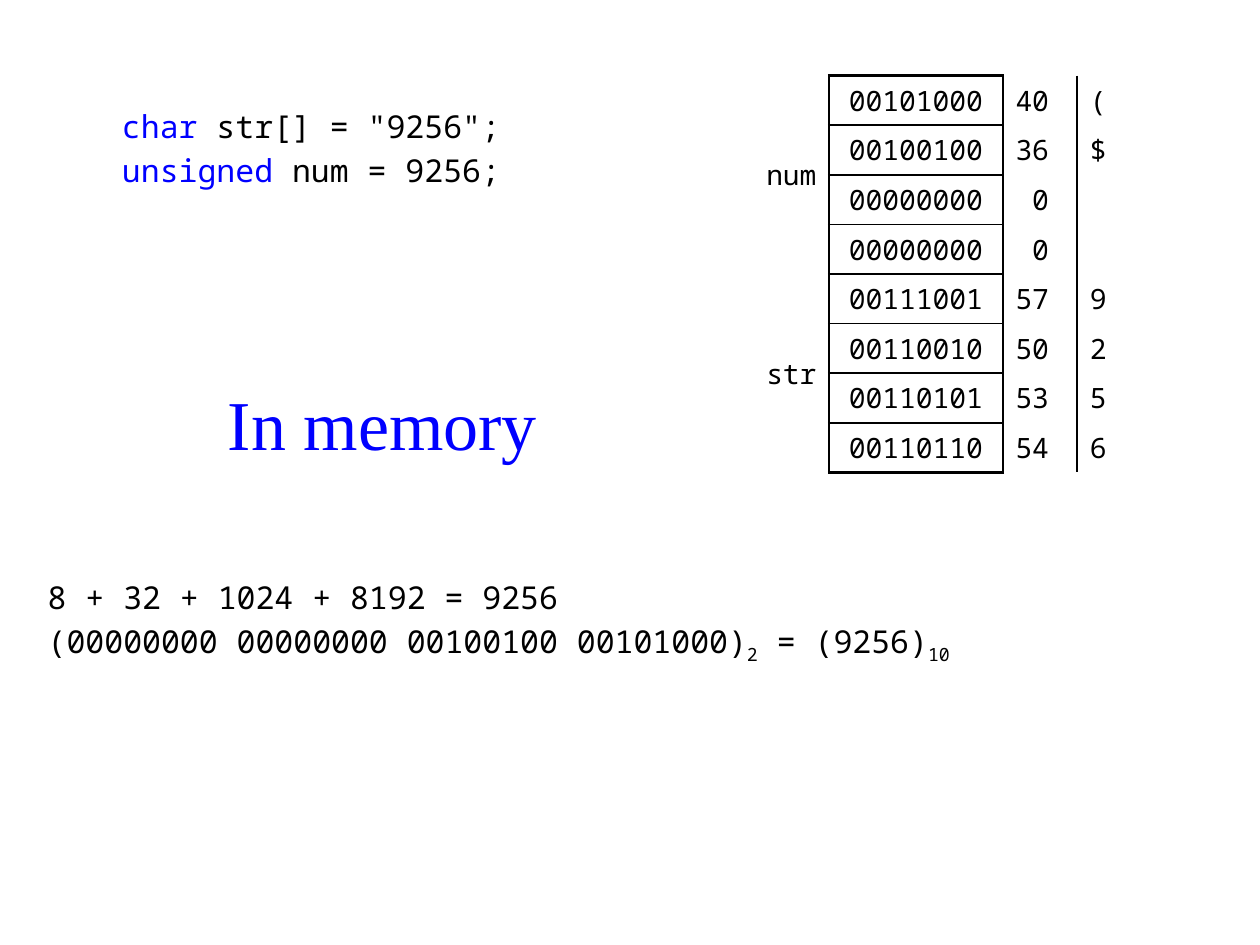
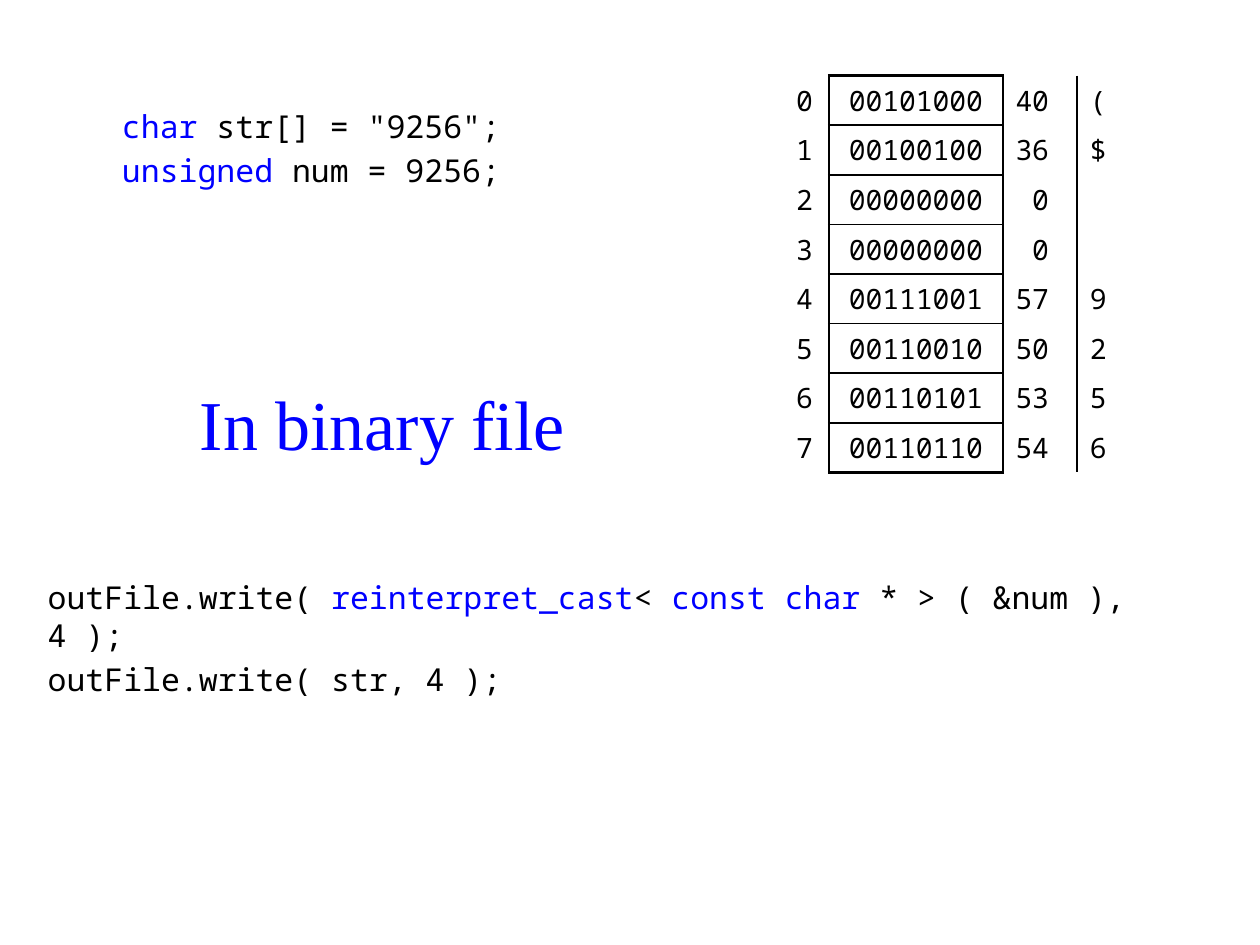
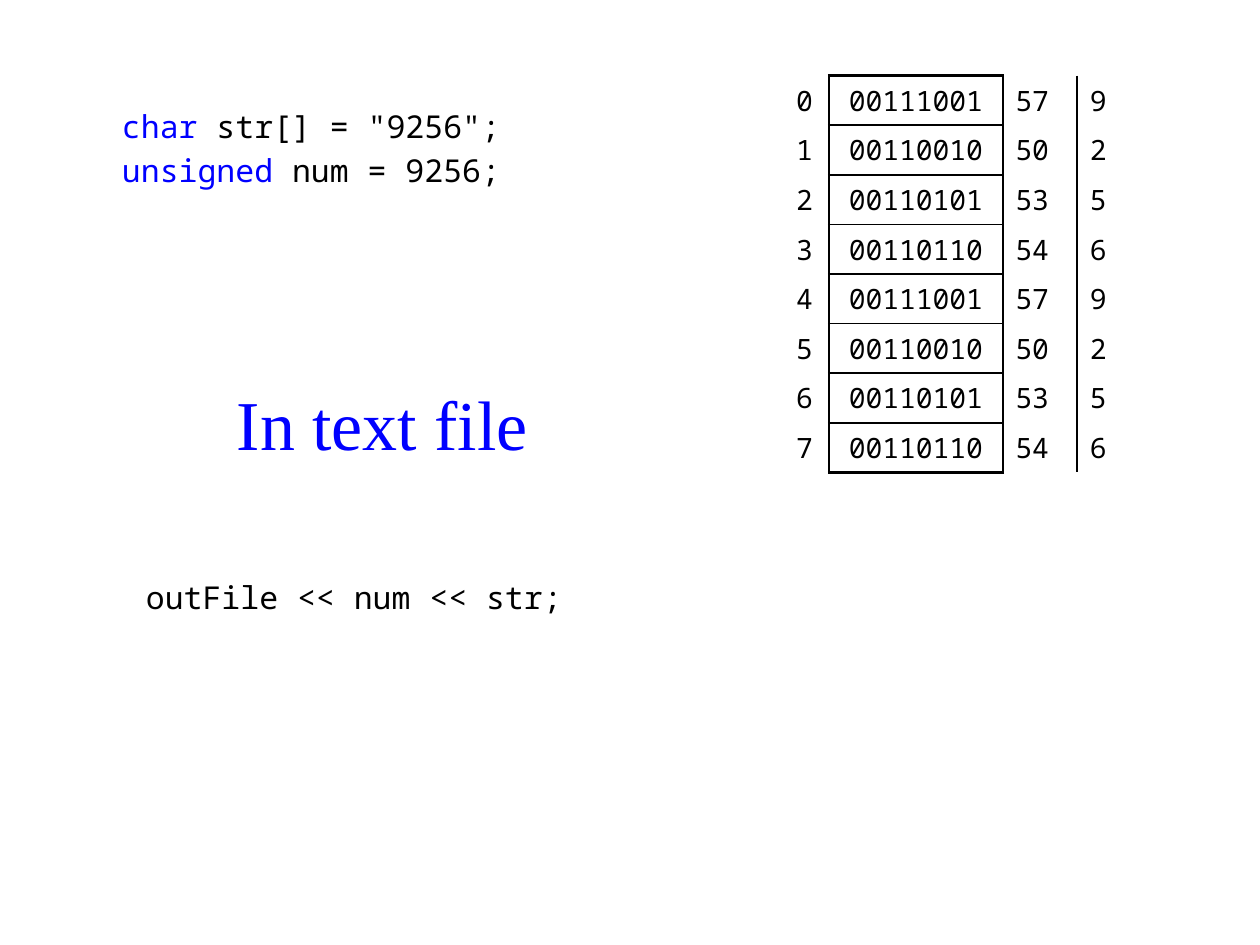
from dataclasses import dataclass

from pptx import Presentation
from pptx.dml.color import RGBColor
from pptx.enum.text import MSO_ANCHOR as Anchor, PP_ALIGN as Align
from pptx.oxml.ns import qn
from pptx.util import Inches, Pt
from lxml.etree import SubElement


@dataclass(frozen=True)
class Theme:
    ink: str = "000000"
    blue: str = "0000FF"
    mono: str = "Noto Sans Mono"
    serif: str = "Times New Roman"
    title: int = 40
    code: int = 18
    cell: int = 16
    gap: float = 3.6
    outer: float = 1.5
    inner: float = 1


T = Theme()

# Content: a run is (text, style); styles are plain, keyword and subscript
PLAIN, KEY, SUB = "plain", "keyword", "subscript"
DECLARATIONS = [
    [("char ", KEY), ('str[] = "9256";', PLAIN)],
    [("unsigned ", KEY), ("num = 9256;", PLAIN)],
]
NUM_BYTES = [40, 36, 0, 0]
STR_BYTES = [57, 50, 53, 54]
OFFSETS = [(str(i), 1) for i in range(8)]

SLIDES = [
    dict(
        title="In memory",
        bytes=NUM_BYTES + STR_BYTES,
        labels=[("num", 4), ("str", 4)], label_width=0.79, label_align=Align.RIGHT,
        code_at=(0.28, 4.54, 7.48, 0.79),
        code=[
            [("8 + 32 + 1024 + 8192 = 9256", PLAIN)],
            [("(00000000 00000000 00100100 00101000)", PLAIN), ("2", SUB),
             (" = (9256)", PLAIN), ("10", SUB)],
        ],
    ),
    dict(
        title="In binary file",
        bytes=NUM_BYTES + STR_BYTES,
        labels=OFFSETS, label_width=0.39, label_align=Align.CENTER,
        code_at=(0.28, 4.54, 9.45, 0.79),
        code=[
            [("outFile.write( ", PLAIN), ("reinterpret_cast", KEY), ("< ", PLAIN),
             ("const char", KEY), (" * > ( &num ), 4 );", PLAIN)],
            [("outFile.write( str, 4 );", PLAIN)],
        ],
    ),
    dict(
        title="In text file",
        bytes=STR_BYTES * 2,
        labels=OFFSETS, label_width=0.39, label_align=Align.CENTER,
        code_at=(1.06, 4.54, 3.54, 0.39),
        code=[[("outFile << num << str;", PLAIN)]],
    ),
]

# Shared places, in inches
TITLE_AT = (1.46, 2.96, 3.15, 0.79)
DECLARATIONS_AT = (0.87, 0.8, 3.54, 0.79)
TABLE_TOP, TABLE_RIGHT, TABLE_HEIGHT = 0.6, 8.94, 3.15
BYTE_WIDTHS = [1.38, 0.59, 0.39]  # bits, value, character
NO_GRID = "{2D5ABB26-0587-4C30-8999-92F81FD0307C}"


def add_run(p, text, size, font=T.mono, color=T.ink):
    r = p.add_run()
    r.text = text
    r.font.size = Pt(size)
    r.font.name = font
    r.font.color.rgb = RGBColor.from_string(color)
    return r


def add_box(slide, at, anchor=Anchor.TOP):
    tf = slide.shapes.add_textbox(*map(Inches, at)).text_frame
    tf.word_wrap = True
    tf.vertical_anchor = anchor
    return tf


def add_title(slide, text):
    p = add_box(slide, TITLE_AT, Anchor.MIDDLE).paragraphs[0]
    p.alignment = Align.CENTER
    add_run(p, text, T.title, T.serif, T.blue)


def add_code(slide, at, lines):
    tf = add_box(slide, at)
    for i, line in enumerate(lines):
        p = tf.add_paragraph() if i else tf.paragraphs[0]
        if i:
            p.space_before = Pt(T.gap)
        for text, style in line:
            r = add_run(p, text, T.code, color=T.blue if style == KEY else T.ink)
            if style == SUB:
                r.font._element.set("baseline", "-25000")


def set_borders(cell, **widths):
    tc_pr = cell._tc.get_or_add_tcPr()
    for side in "LRTB":
        if side in widths:
            ln = SubElement(tc_pr, qn(f"a:ln{side}"), w=str(Pt(widths[side])))
            fill = SubElement(ln, qn("a:solidFill"))
            SubElement(fill, qn("a:srgbClr"), val=T.ink)


def fill_cell(cell, text, align):
    p = cell.text_frame.paragraphs[0]
    p.alignment = align
    p.font.size = Pt(T.cell)
    if text:
        add_run(p, text, T.cell)


def add_byte_table(slide, values, labels, label_width, label_align):
    widths = [label_width] + BYTE_WIDTHS
    count = len(values)
    frame = slide.shapes.add_table(
        count, len(widths), Inches(TABLE_RIGHT - sum(widths)), Inches(TABLE_TOP),
        Inches(sum(widths)), Inches(TABLE_HEIGHT))
    table = frame.table
    table.first_row = table.horz_banding = False
    table._tbl.tblPr.find(qn("a:tableStyleId")).text = NO_GRID
    for column, width in zip(table.columns, widths):
        column.width = Inches(width)

    # One byte per row, boxed in the bits column
    for i, value in enumerate(values):
        cells = [table.cell(i, j) for j in range(len(widths))]
        label, bits, number, char = cells
        set_borders(label, R=T.outer)
        set_borders(bits, L=T.outer, R=T.outer,
                    T=T.inner if i else T.outer,
                    B=T.inner if i < count - 1 else T.outer)
        set_borders(number, L=T.outer)
        for cell in cells:
            cell.fill.background()
            cell.vertical_anchor = Anchor.MIDDLE
            cell.margin_left = cell.margin_right = Inches(0.1)
            cell.margin_top = cell.margin_bottom = Inches(0.04)
        fill_cell(bits, f"{value:08b}", Align.CENTER)
        fill_cell(number, f"{value:2}", Align.LEFT)
        fill_cell(char, chr(value) if value else "", Align.LEFT)

    # Labels, each spanning its bytes
    row = 0
    for text, span in labels:
        cell = table.cell(row, 0)
        if span > 1:
            cell.merge(table.cell(row + span - 1, 0))
        fill_cell(cell, text, label_align)
        row += span


def main():
    prs = Presentation()
    prs.slide_width, prs.slide_height = Inches(10), Inches(7.5)
    for data in SLIDES:
        slide = prs.slides.add_slide(prs.slide_layouts[6])
        add_byte_table(slide, data["bytes"], data["labels"],
                       data["label_width"], data["label_align"])
        add_title(slide, data["title"])
        add_code(slide, data["code_at"], data["code"])
        add_code(slide, DECLARATIONS_AT, DECLARATIONS)
    prs.save("out.pptx")


if __name__ == "__main__":
    main()
